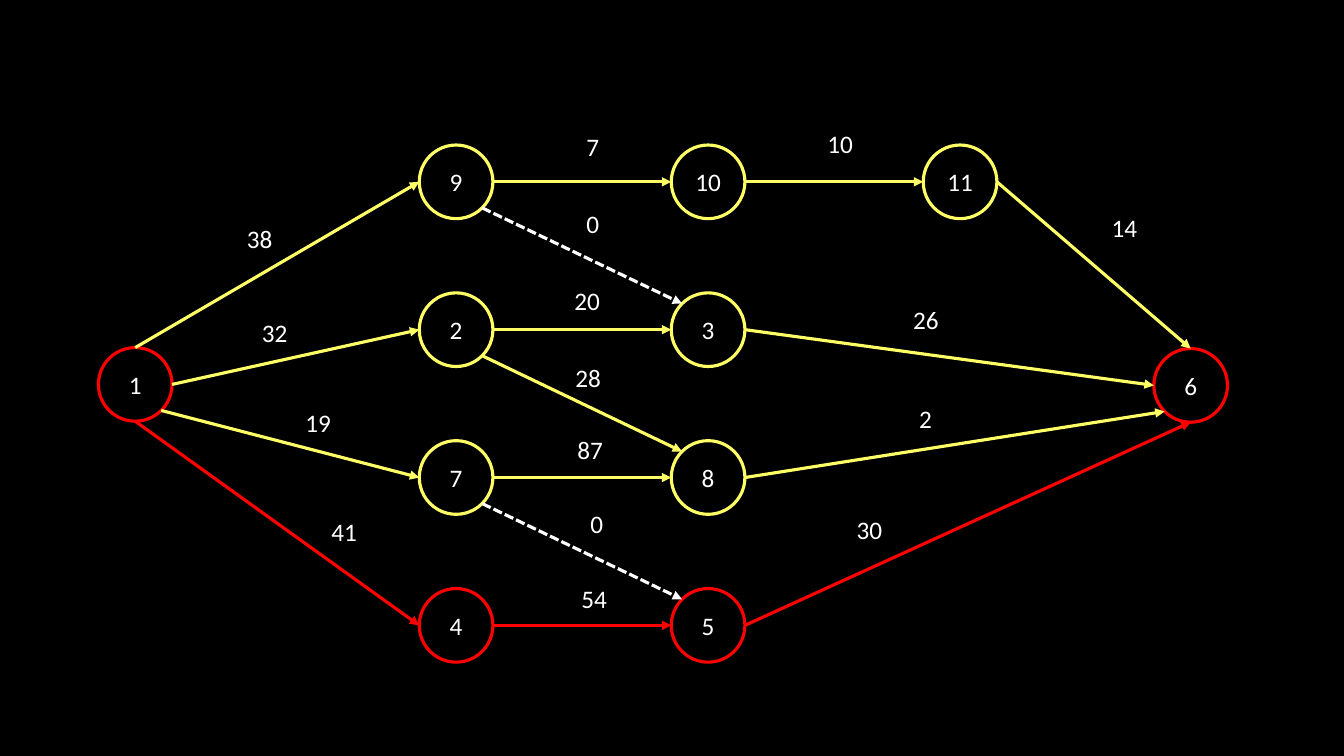
from dataclasses import dataclass

from lxml import etree
from pptx import Presentation
from pptx import util as u
from pptx.dml.color import RGBColor
from pptx.enum import dml, shapes, text
from pptx.oxml import ns

RED, YELLOW, WHITE, BLACK = "FF0000", "FFFF66", "FFFFFF", "000000"
SIZE = 52.6                       # circle diameter
HALF = SIZE / 2
DIAG = HALF * 0.5 ** 0.5          # offset of the diagonal points
FONT = {"name": "Calibri", "size": u.Pt(18)}
CENTRE = {"vertical_anchor": text.MSO_ANCHOR.MIDDLE}
LABEL = {"word_wrap": False, "auto_size": text.MSO_AUTO_SIZE.SHAPE_TO_FIT_TEXT}

# Points on a circle where arrows start or end
PORTS = {
    "top": (0, -HALF), "left": (-HALF, 0), "right": (HALF, 0),
    "base": (0, HALF), "upper left": (-DIAG, -DIAG),
    "lower left": (-DIAG, DIAG), "lower right": (DIAG, DIAG),
}
COLS = [325.8 + 180 * i for i in range(3)]
ROWS = [129.9 + 105.6 * i for i in range(4)]


@dataclass
class Node:
    x: float
    y: float
    color: str = YELLOW


@dataclass
class Edge:
    start: int
    end: int
    cost: str
    left: float
    top: float
    out: str = "right"
    into: str = "left"
    color: str = YELLOW
    dashed: bool = False


NODES = {
    1: Node(96.6, 274.6, RED),
    4: Node(COLS[0], ROWS[3], RED),
    5: Node(COLS[1], ROWS[3], RED),
    6: Node(850.5, 275.3, RED),
    7: Node(COLS[0], ROWS[2]),
    8: Node(COLS[1], ROWS[2]),
    2: Node(COLS[0], ROWS[1]),
    3: Node(COLS[1], ROWS[1]),
    9: Node(COLS[0], ROWS[0]),
    10: Node(COLS[1], ROWS[0]),
    11: Node(COLS[2], ROWS[0]),
}

EDGES = [
    Edge(1, 4, "41", 229.7, 365, out="base", color=RED),
    Edge(1, 7, "19", 211, 287.3, out="lower right"),
    Edge(1, 2, "32", 180, 223.2),
    Edge(1, 9, "38", 169.2, 156.2, out="top"),
    Edge(9, 10, "7", 411.8, 90),
    Edge(2, 3, "20", 403.2, 200.2),
    Edge(7, 8, "87", 405.4, 306.7),
    Edge(4, 5, "54", 408.2, 413.3, color=RED),
    Edge(10, 11, "10", 583.9, 87.8),
    Edge(11, 6, "14", 787, 148.3, into="top"),
    Edge(3, 6, "26", 645.1, 213.8),
    Edge(8, 6, "2", 649.4, 284.4, into="lower left"),
    Edge(5, 6, "30", 604.8, 363.6, into="base", color=RED),
    Edge(7, 5, "0", 414.7, 359.3, "lower right", "upper left", WHITE, True),
    Edge(9, 3, "0", 411.8, 145.4, "lower right", "upper left", WHITE, True),
    Edge(2, 8, "28", 403.9, 254.9, "lower right", "upper left"),
]


def paint(fmt, color: str) -> None:
    """Give a solid colour to a fill."""
    fmt.solid()
    fmt.fore_color.rgb = RGBColor.from_string(color)


def apply(target, values: dict) -> None:
    for name, value in values.items():
        setattr(target, name, value)


def stroke(line, color: str) -> None:
    paint(line.fill, color)
    line.width = u.Pt(2.25)


def write(frame, words: str, values: dict, align: text.PP_ALIGN) -> None:
    apply(frame, values)
    par = frame.paragraphs[0]
    par.alignment = align
    run = par.add_run()
    run.text = words
    apply(run.font, FONT)
    paint(run.font.fill, WHITE)


def draw_node(slide, name: int, node: Node) -> None:
    ring = slide.shapes.add_shape(
        shapes.MSO_SHAPE.OVAL, u.Pt(node.x - HALF), u.Pt(node.y - HALF),
        u.Pt(SIZE), u.Pt(SIZE))
    ring.shadow.inherit = False
    ring.fill.background()
    stroke(ring.line, node.color)
    write(ring.text_frame, str(name), CENTRE, text.PP_ALIGN.CENTER)


def port(name: int, side: str) -> tuple[u.Length, u.Length]:
    node, (dx, dy) = NODES[name], PORTS[side]
    return u.Pt(node.x + dx), u.Pt(node.y + dy)


def draw_edge(slide, edge: Edge) -> None:
    arrow = slide.shapes.add_connector(
        shapes.MSO_CONNECTOR.STRAIGHT,
        *port(edge.start, edge.out), *port(edge.end, edge.into))
    stroke(arrow.line, edge.color)
    if edge.dashed:
        arrow.line.dash_style = dml.MSO_LINE.SQUARE_DOT
    # Arrowhead at the end, and no shadow
    props = arrow.element.spPr
    etree.SubElement(arrow.line.fill._xPr, ns.qn("a:tailEnd"), type="triangle")
    etree.SubElement(props, ns.qn("a:effectLst"))


def draw_cost(slide, edge: Edge) -> None:
    width = 14.9 + 9.2 * len(edge.cost)
    box = slide.shapes.add_textbox(
        u.Pt(edge.left), u.Pt(edge.top), u.Pt(width), u.Pt(29))
    write(box.text_frame, edge.cost, LABEL, text.PP_ALIGN.LEFT)


def main() -> None:
    deck = Presentation()
    apply(deck, {"slide_width": u.Pt(960), "slide_height": u.Pt(540)})
    slide = deck.slides.add_slide(deck.slide_layouts[6])
    paint(slide.background.fill, BLACK)

    # Circles, then arrows, then the numbers beside them
    for name, node in NODES.items():
        draw_node(slide, name, node)
    for edge in EDGES:
        draw_edge(slide, edge)
    for edge in EDGES:
        draw_cost(slide, edge)

    deck.save("out.pptx")


if __name__ == "__main__":
    main()
